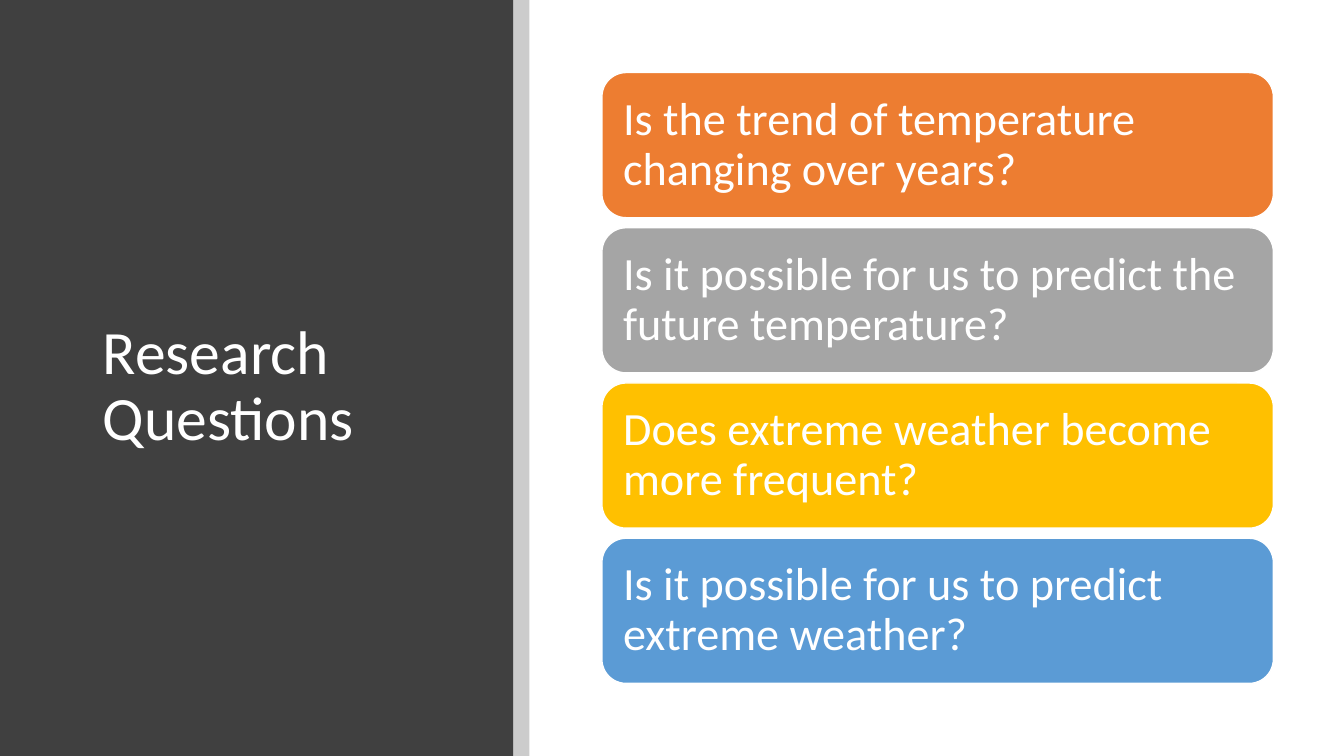
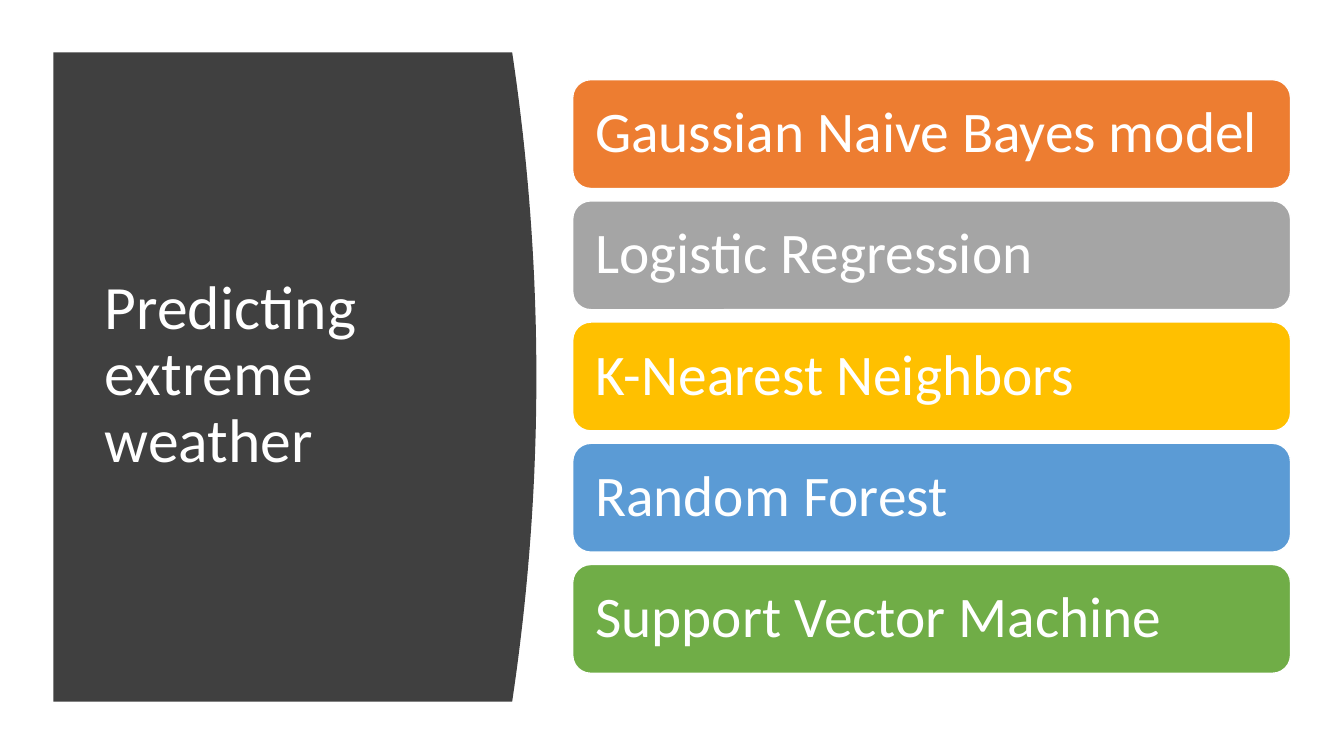
from lxml import etree
from pptx import Presentation
from pptx.dml.color import RGBColor
from pptx.enum.shapes import MSO_SHAPE
from pptx.enum.text import MSO_ANCHOR, MSO_AUTO_SIZE, PP_ALIGN
from pptx.oxml.ns import qn
from pptx.util import Emu, Pt

PX = 9144
TITLE_ONLY = 5
FONT = "Calibri"
WHITE = "FFFFFF"
BLACK = "000000"
DARK = "404040"
ACCENTS = ["ED7D31", "A5A5A5", "FFC000", "5B9BD5", "70AD47"]
QUESTIONS = [
    "Is the trend of temperature changing over years?",
    "Is it possible for us to predict the future temperature?",
    "Does extreme weather become more frequent?",
    "Is it possible for us to predict extreme weather?",
]
MODELS = [
    "Gaussian Naive Bayes model",
    "Logistic Regression",
    "K-Nearest Neighbors",
    "Random Forest",
    "Support Vector Machine",
]


def px(value):
    """Turn px, 100 to the inch, into EMU."""
    return Emu(round(value * PX))


def set_fill(sp, color):
    """Give a shape a plain fill with no shadow and no line."""
    sp.shadow.inherit = False
    sp.fill.solid()
    sp.fill.fore_color.rgb = RGBColor.from_string(color)
    sp.line.fill.background()


def set_text(sp, text, size, inset_x, inset_y):
    """Write left-aligned, vertically centred white text in a shape."""
    tf = sp.text_frame
    tf.text = text
    tf.word_wrap = True
    tf.auto_size = MSO_AUTO_SIZE.NONE
    tf.vertical_anchor = MSO_ANCHOR.MIDDLE
    tf.margin_left = tf.margin_right = px(inset_x)
    tf.margin_top = tf.margin_bottom = px(inset_y)
    p = tf.paragraphs[0]
    p.alignment = PP_ALIGN.LEFT
    p.line_spacing = 0.9
    font = p.runs[0].font
    font.name = FONT
    font.size = Pt(size)
    font.color.rgb = RGBColor.from_string(WHITE)


def add_block(slide, shape, left, top, width, height, color):
    """Add a filled preset shape."""
    sp = slide.shapes.add_shape(shape, px(left), px(top), px(width), px(height))
    set_fill(sp, color)
    return sp


def set_alpha(sp, percent):
    """Set the opacity of a solid fill."""
    color = sp.fill._xPr.find(qn("a:solidFill"))[0]
    etree.SubElement(color, qn("a:alpha")).set("val", str(percent * 1000))


def add_curved_panel(slide, left, top, bottom, edge, bulge, steps=40):
    """Add a dark panel whose right side bows outwards."""
    middle, half = (top + bottom) / 2, (bottom - top) / 2
    curve = []
    for i in range(steps + 1):
        t = 2 * i / steps - 1
        curve.append((px(edge + bulge * (1 - t * t)), px(middle + half * t)))
    builder = slide.shapes.build_freeform(px(left), px(top), scale=1.0)
    builder.add_line_segments(curve + [(px(left), px(bottom))], close=True)
    set_fill(builder.convert_to_shape(), DARK)


def place_title(slide, text, left, top, width, height):
    """Move the title placeholder in front of the panel and format it."""
    title = slide.shapes.title
    title.left, title.top = px(left), px(top)
    title.width, title.height = px(width), px(height)
    set_text(title, text, 44, 10, 5)
    title.element.getparent().append(title.element)


def add_cards(slide, texts, left, top, width, bottom, height, size, inset):
    """Stack equally spaced rounded cards between top and bottom."""
    pitch = (bottom - top - height) / (len(texts) - 1)
    for i, (text, color) in enumerate(zip(texts, ACCENTS)):
        sp = add_block(slide, MSO_SHAPE.ROUNDED_RECTANGLE,
                       left, top + i * pitch, width, height, color)
        sp.line.color.rgb = RGBColor.from_string(WHITE)
        sp.line.width = Pt(1)
        set_text(sp, text, size, inset, inset)


def add_questions_slide(prs):
    """Build the slide of research questions."""
    slide = prs.slides.add_slide(prs.slide_layouts[TITLE_ONLY])
    add_block(slide, MSO_SHAPE.RECTANGLE, 0, 0, 509, 750, DARK)
    place_title(slide, "Research Questions", 92, 89, 365, 591)
    strip = add_block(slide, MSO_SHAPE.RECTANGLE, 509, 0, 16, 750, BLACK)
    set_alpha(strip, 20)
    add_cards(slide, QUESTIONS, 597, 72, 666, 678, 144, 33, 14)


def add_models_slide(prs):
    """Build the slide of prediction models."""
    slide = prs.slides.add_slide(prs.slide_layouts[TITLE_ONLY])
    add_curved_panel(slide, 53, 52, 696, 508, 24)
    place_title(slide, "Predicting extreme weather", 94, 111, 374, 524)
    add_cards(slide, MODELS, 568, 79, 712, 668, 108, 41, 17)


def main():
    """Build and save the presentation."""
    prs = Presentation()
    prs.slide_width, prs.slide_height = px(1333), px(750)
    add_questions_slide(prs)
    add_models_slide(prs)
    prs.save("out.pptx")


if __name__ == "__main__":
    main()
